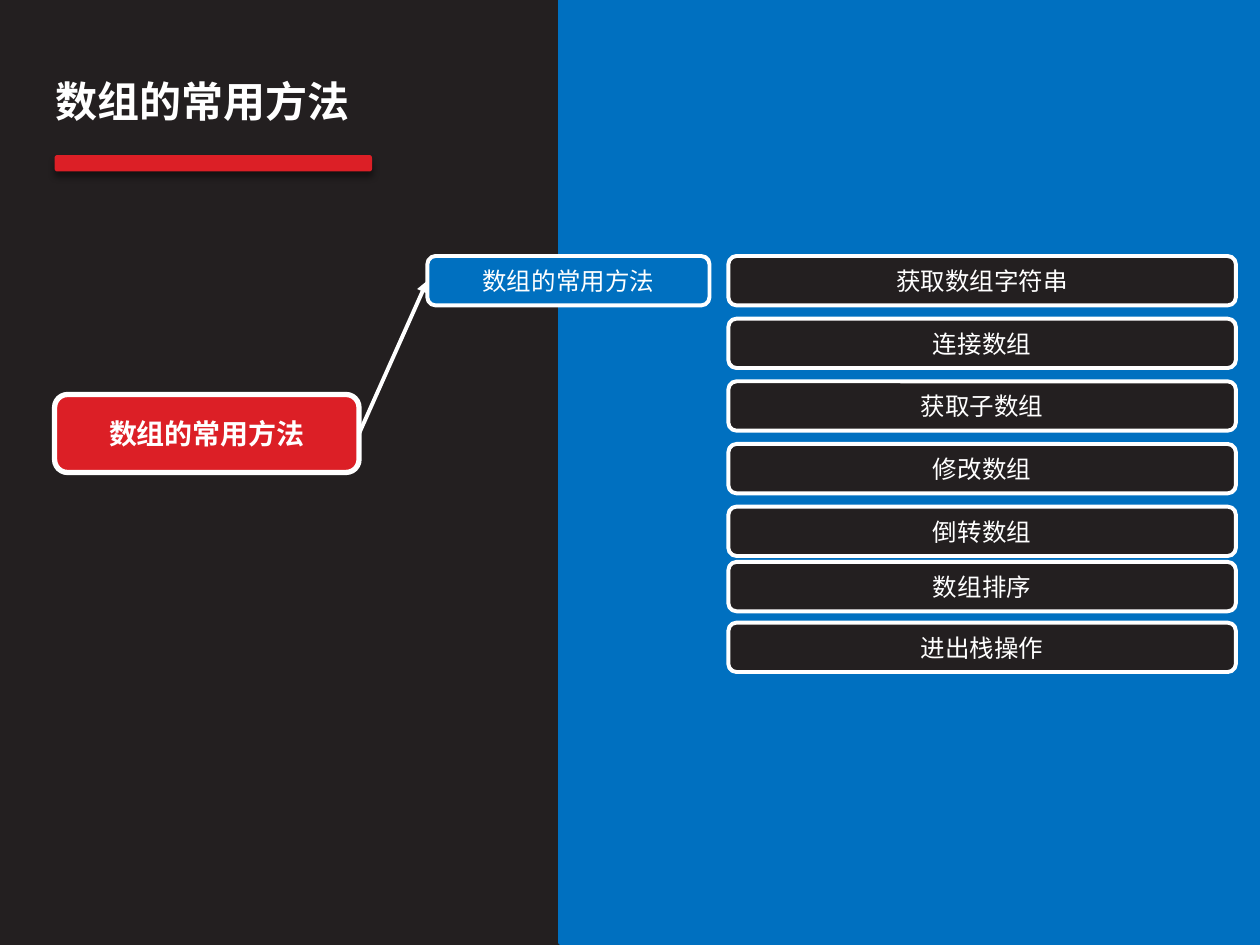
from dataclasses import dataclass

import lxml.etree
import pptx
import pptx.dml.color
import pptx.enum.shapes
import pptx.enum.text
import pptx.oxml
import pptx.oxml.ns
import pptx.util

Pt = pptx.util.Pt
RGBColor = pptx.dml.color.RGBColor
MSO_SHAPE = pptx.enum.shapes.MSO_SHAPE
qn = pptx.oxml.ns.qn

DARK = RGBColor(0x23, 0x1F, 0x20)
BLUE = RGBColor(0x00, 0x70, 0xC0)
RED = RGBColor(0xDC, 0x1F, 0x26)
WHITE = RGBColor(0xFF, 0xFF, 0xFF)
FONT = "Noto Sans CJK SC"
TOPIC = "数组的常用方法"

ROW_LEFT, ROW_TOP, ROW_WIDTH, ROW_HEIGHT, ROW_PITCH = 416.2, 146.3, 290, 28.2, 35.8
METHODS = ["获取数组字符串", "连接数组", "获取子数组", "修改数组", "倒转数组"]

SHADOW = (
    f'<a:effectLst {pptx.oxml.ns.nsdecls("a")}>'
    '<a:outerShdw blurRad="50800" dist="38100" dir="5400000" rotWithShape="0">'
    '<a:srgbClr val="000000"><a:alpha val="43000"/></a:srgbClr>'
    '</a:outerShdw></a:effectLst>'
)


@dataclass
class Box:
    left: float
    top: float
    width: float
    height: float
    fill: RGBColor
    line: RGBColor | None = WHITE
    line_width: float = 2.25
    text: str = ""
    size: float = 14
    bold: bool = False
    kind: MSO_SHAPE = MSO_SHAPE.ROUNDED_RECTANGLE


def write_text(tf, text: str, *, size: float, bold: bool = False,
               anchor=pptx.enum.text.MSO_ANCHOR.MIDDLE) -> None:
    tf.word_wrap = True
    tf.vertical_anchor = anchor
    p = tf.paragraphs[0]
    p.alignment = pptx.enum.text.PP_ALIGN.CENTER
    r = p.add_run()
    r.text = text
    r.font.size = Pt(size)
    r.font.bold = bold
    r.font.color.rgb = WHITE
    r.font.name = FONT
    ea = lxml.etree.SubElement(r.font._element, qn("a:ea"))
    ea.set("typeface", FONT)


def add_box(s, box: Box):
    sp = s.shapes.add_shape(box.kind, Pt(box.left), Pt(box.top),
                            Pt(box.width), Pt(box.height))
    sp.shadow.inherit = False
    sp.fill.solid()
    sp.fill.fore_color.rgb = box.fill
    if box.line is None:
        sp.line.fill.background()
    else:
        sp.line.color.rgb = box.line
        sp.line.width = Pt(box.line_width)
    if box.text:
        write_text(sp.text_frame, box.text, size=box.size, bold=box.bold)
    return sp


def add_arrow(s, start, end) -> None:
    cxn = s.shapes.add_connector(pptx.enum.shapes.MSO_CONNECTOR.STRAIGHT, 0, 0, 0, 0)
    cxn.begin_connect(start, 3)
    cxn.end_connect(end, 1)
    cxn.line.color.rgb = WHITE
    cxn.line.width = Pt(2.25)
    ln = cxn.line._get_or_add_ln()
    lxml.etree.SubElement(ln, qn("a:tailEnd")).set("type", "triangle")
    lxml.etree.SubElement(cxn._element.spPr, qn("a:effectLst"))


def add_title(s) -> None:
    sp = s.shapes.title
    sp.left, sp.top, sp.width, sp.height = Pt(-14.4), Pt(43.2), Pt(260.6), Pt(51)
    sp.text_frame.margin_top = 0
    write_text(sp.text_frame, TOPIC, size=24, bold=True,
               anchor=pptx.enum.text.MSO_ANCHOR.TOP)


def main() -> None:
    prs = pptx.Presentation()
    prs.slide_width, prs.slide_height = Pt(720), Pt(540)
    s = prs.slides.add_slide(prs.slide_layouts[5])
    s.background.fill.solid()
    s.background.fill.fore_color.rgb = DARK

    add_box(s, Box(320.4, 0, 399.6, 538.6, BLUE, line=BLUE, line_width=3,
                   kind=MSO_SHAPE.RECTANGLE))
    add_title(s)
    bar = add_box(s, Box(31.2, 88.6, 181.4, 9.4, RED, line=None))
    bar._element.spPr.remove(bar._element.spPr.find(qn("a:effectLst")))
    bar._element.spPr.append(pptx.oxml.parse_xml(SHADOW))

    root = add_box(s, Box(31.2, 225.4, 174, 44.6, RED, line_width=3,
                          text=TOPIC, size=16, bold=True))
    branch = add_box(s, Box(244.2, ROW_TOP, 161.2, ROW_HEIGHT, BLUE, text=TOPIC))
    add_arrow(s, root, branch)

    rows = [(ROW_TOP + i * ROW_PITCH, text) for i, text in enumerate(METHODS)]
    rows += [(321.1, "数组排序"), (355.8, "进出栈操作")]
    for top, text in rows:
        add_box(s, Box(ROW_LEFT, top, ROW_WIDTH, ROW_HEIGHT, DARK, text=text))

    prs.save("out.pptx")


if __name__ == "__main__":
    main()
